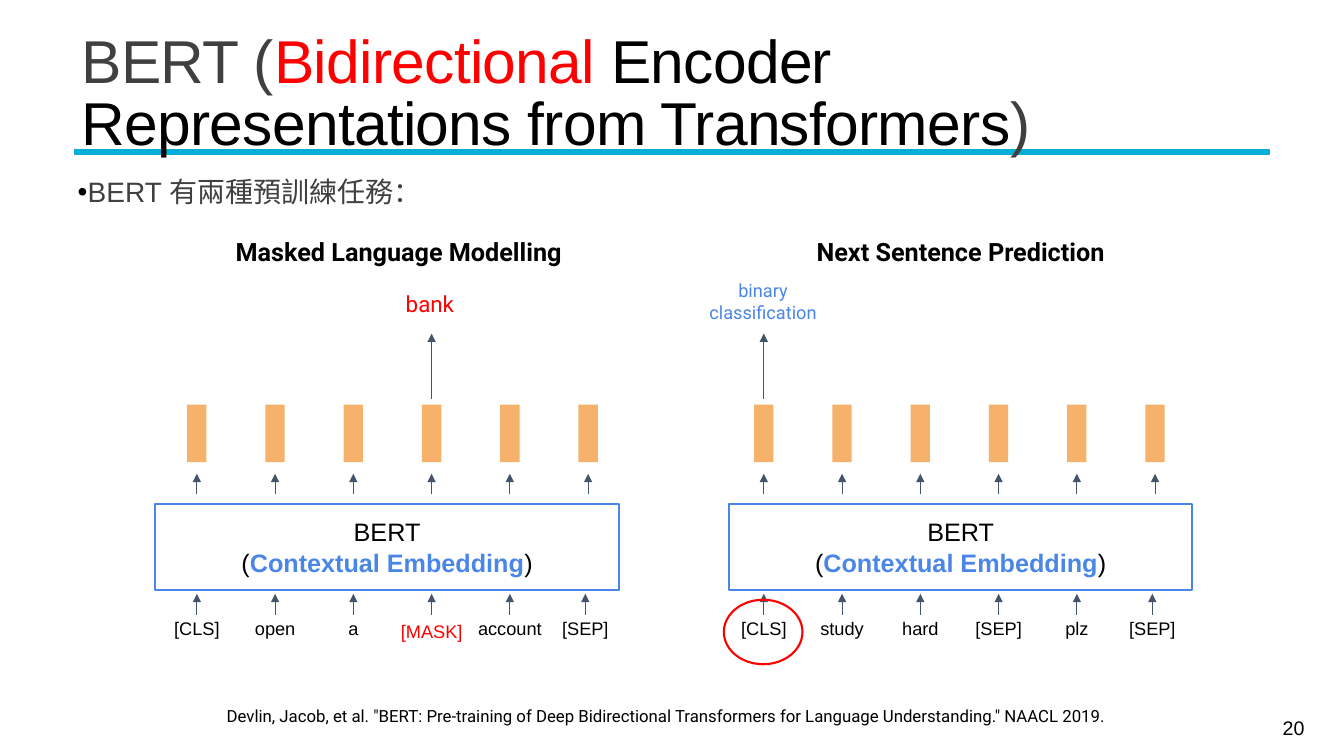
from dataclasses import dataclass
from lxml.etree import SubElement
from pptx import Presentation
from pptx.dml.color import RGBColor
from pptx.enum.shapes import MSO_CONNECTOR, MSO_SHAPE
from pptx.enum.text import MSO_ANCHOR, MSO_AUTO_SIZE, PP_ALIGN
from pptx.oxml.ns import qn
from pptx.util import Pt

COLORS = {
    "black": "000000",
    "gray": "404040",
    "red": "FF0000",
    "blue": "4A86E8",
    "cyan": "05AED6",
    "orange": "F6B26B",
    "slate": "44546A",
}
PITCH = 55.9
LAST_INPUT_SHIFT = -2


@dataclass(frozen=True)
class Box:
    left: float
    top: float
    width: float
    height: float


@dataclass(frozen=True)
class Span:
    text: str
    color: str = "black"
    bold: bool = False


@dataclass(frozen=True)
class Token:
    text: str
    width: float = 49
    color: str = "black"
    drop: float = 0


@dataclass(frozen=True)
class Task:
    heading: str
    heading_box: Box
    prediction: Span
    prediction_box: Box
    prediction_size: float
    predicted_token: int
    first_center: float
    encoder_left: float
    tokens: tuple[Token, ...]


TASKS = (
    Task("Masked Language Modelling", Box(160.6, 161.3, 248.4, 36),
         Span("bank", "red"), Box(277.2, 200.2, 59.8, 33.8), 16, 3, 140.6, 110.9,
         (Token("[CLS]"), Token("open"), Token("a"), Token("[MASK]", 65, "red", 2),
          Token("account", 69), Token("[SEP]"))),
    Task("Next Sentence Prediction", Box(568.8, 161.3, 234.7, 36),
         Span("binary classification", "blue"), Box(498.2, 192.2, 93.6, 46), 13, 0, 545.6, 520.6,
         (Token("[CLS]"), Token("study", 58), Token("hard", 58), Token("[SEP]"),
          Token("plz", 56), Token("[SEP]"))),
)


def rgb(color: str) -> RGBColor:
    return RGBColor.from_string(COLORS[color])


def place(shape, box: Box) -> None:
    shape.left, shape.top = Pt(box.left), Pt(box.top)
    shape.width, shape.height = Pt(box.width), Pt(box.height)


def add_spans(paragraph, spans: tuple[Span, ...], size: float, font: str = "Arial",
              spacing: float = 0) -> None:
    for span in spans:
        run = paragraph.add_run()
        run.text = span.text
        run.font.name = font
        run.font.size = Pt(size)
        run.font.bold = span.bold
        run.font.color.rgb = rgb(span.color)
        if spacing:
            run._r.get_or_add_rPr().set("spc", str(round(spacing * 100)))


def set_insets(frame, side: float, vertical: float) -> None:
    frame.margin_left = frame.margin_right = Pt(side)
    frame.margin_top = frame.margin_bottom = Pt(vertical)


def add_text(slide, box: Box, span: Span, size: float, font: str = "Arial",
             vertical: float = 7.2, align: PP_ALIGN = PP_ALIGN.CENTER,
             anchor: MSO_ANCHOR = MSO_ANCHOR.TOP) -> None:
    frame = slide.shapes.add_textbox(
        Pt(box.left), Pt(box.top), Pt(box.width), Pt(box.height)).text_frame
    frame.word_wrap = True
    frame.vertical_anchor = anchor
    set_insets(frame, 7.2, vertical)
    frame.paragraphs[0].alignment = align
    add_spans(frame.paragraphs[0], (span,), size, font)


def add_figure(slide, kind: MSO_SHAPE, box: Box, fill: str = "", line: str = "",
               weight: float = 1.5):
    figure = slide.shapes.add_shape(
        kind, Pt(box.left), Pt(box.top), Pt(box.width), Pt(box.height))
    figure.shadow.inherit = False
    if fill:
        figure.fill.solid()
        figure.fill.fore_color.rgb = rgb(fill)
    else:
        figure.fill.background()
    if line:
        figure.line.color.rgb = rgb(line)
        figure.line.width = Pt(weight)
    else:
        figure.line.fill.background()
    return figure


def add_up_arrow(slide, center: float, start: float, end: float) -> None:
    arrow = slide.shapes.add_connector(
        MSO_CONNECTOR.STRAIGHT, Pt(center), Pt(start), Pt(center), Pt(end))
    arrow.line.color.rgb = rgb("slate")
    arrow.line.width = Pt(0.75)
    SubElement(arrow.line._get_or_add_ln(), qn("a:tailEnd"), type="triangle")
    SubElement(arrow._element.spPr, qn("a:effectLst"))


def add_encoder(slide, left: float) -> None:
    encoder = add_figure(slide, MSO_SHAPE.RECTANGLE, Box(left, 360, 331.2, 61.2), line="blue")
    frame = encoder.text_frame
    frame.vertical_anchor = MSO_ANCHOR.MIDDLE
    set_insets(frame, 7.2, 7.2)
    name, role = frame.paragraphs[0], frame.add_paragraph()
    name.alignment = role.alignment = PP_ALIGN.CENTER
    add_spans(name, (Span("BERT"),), 18)
    add_spans(role, (Span("("), Span("Contextual Embedding", "blue", True), Span(")")), 18)


def add_task(slide, task: Task) -> None:
    add_text(slide, task.heading_box, Span(task.heading, bold=True), 18, "Roboto")
    add_text(slide, task.prediction_box, task.prediction, task.prediction_size, "Roboto")
    add_up_arrow(slide, task.first_center + task.predicted_token * PITCH, 285.1, 238.3)
    add_encoder(slide, task.encoder_left)
    last = len(task.tokens) - 1
    for index, token in enumerate(task.tokens):
        center = task.first_center + index * PITCH
        input_center = center + (LAST_INPUT_SHIFT if index == last else 0)
        add_figure(slide, MSO_SHAPE.RECTANGLE, Box(center - 6.9, 289, 13.8, 41.2), "orange")
        add_up_arrow(slide, center, 353, 338.4)
        add_up_arrow(slide, input_center, 439.2, 424.2)
        add_text(slide, Box(input_center - token.width / 2, 437.2 + token.drop, token.width, 23),
                 Span(token.text, token.color), 13, vertical=3.6)


def fill_title(title) -> None:
    place(title, Box(51.1, 28.1, 859.7, 81.4))
    frame = title.text_frame
    frame.auto_size = MSO_AUTO_SIZE.NONE
    frame.vertical_anchor = MSO_ANCHOR.MIDDLE
    heading = frame.paragraphs[0]
    heading.alignment = PP_ALIGN.LEFT
    heading.line_spacing = 0.85
    add_spans(heading, (Span("BERT (", "gray"), Span("Bidirectional ", "red"),
                        Span("Encoder Representations from Transformers"),
                        Span(")", "gray")), 43.2, spacing=-0.5)


def fill_body(body) -> None:
    place(body, Box(55.4, 123.8, 792, 97.9))
    frame = body.text_frame
    frame.auto_size = MSO_AUTO_SIZE.NONE
    set_insets(frame, 0, 3.6)
    intro = frame.paragraphs[0]
    intro.line_spacing = 0.9
    intro.space_before, intro.space_after = Pt(0), Pt(6)
    properties = intro._p.get_or_add_pPr()
    properties.set("marL", str(Pt(7.2)))
    properties.set("indent", str(Pt(-7.2)))
    bullet_color = SubElement(properties, qn("a:buClr"))
    SubElement(bullet_color, qn("a:srgbClr"), val=COLORS["black"])
    SubElement(properties, qn("a:buFont"), typeface="Arial")
    SubElement(properties, qn("a:buChar"), char="•")
    add_spans(intro, (Span("BERT 有兩種預訓練任務：", "gray"),), 20)


def main() -> None:
    deck = Presentation()
    deck.slide_width, deck.slide_height = Pt(960), Pt(540)
    slide = deck.slides.add_slide(deck.slide_layouts[1])
    title_rule = add_figure(slide, MSO_SHAPE.RECTANGLE, Box(53.3, 106.8, 853.2, 3.6),
                            "cyan", "cyan", 1.25)
    slide.shapes._spTree.insert(2, title_rule._element)
    fill_title(slide.shapes.title)
    fill_body(slide.placeholders[1])
    for task in TASKS:
        add_task(slide, task)
    add_figure(slide, MSO_SHAPE.OVAL, Box(517, 428.4, 56.2, 46.1), line="red")
    add_text(slide, Box(154.8, 496.8, 651.6, 28.8),
             Span('Devlin, Jacob, et al. "BERT: Pre-training of Deep Bidirectional Transformers '
                  'for Language Understanding." NAACL 2019.'), 12, "Roboto", align=PP_ALIGN.LEFT)
    add_text(slide, Box(835.9, 505.4, 103, 28.8), Span("20"), 14, vertical=3.6,
             align=PP_ALIGN.RIGHT, anchor=MSO_ANCHOR.MIDDLE)
    deck.save("out.pptx")


if __name__ == "__main__":
    main()
